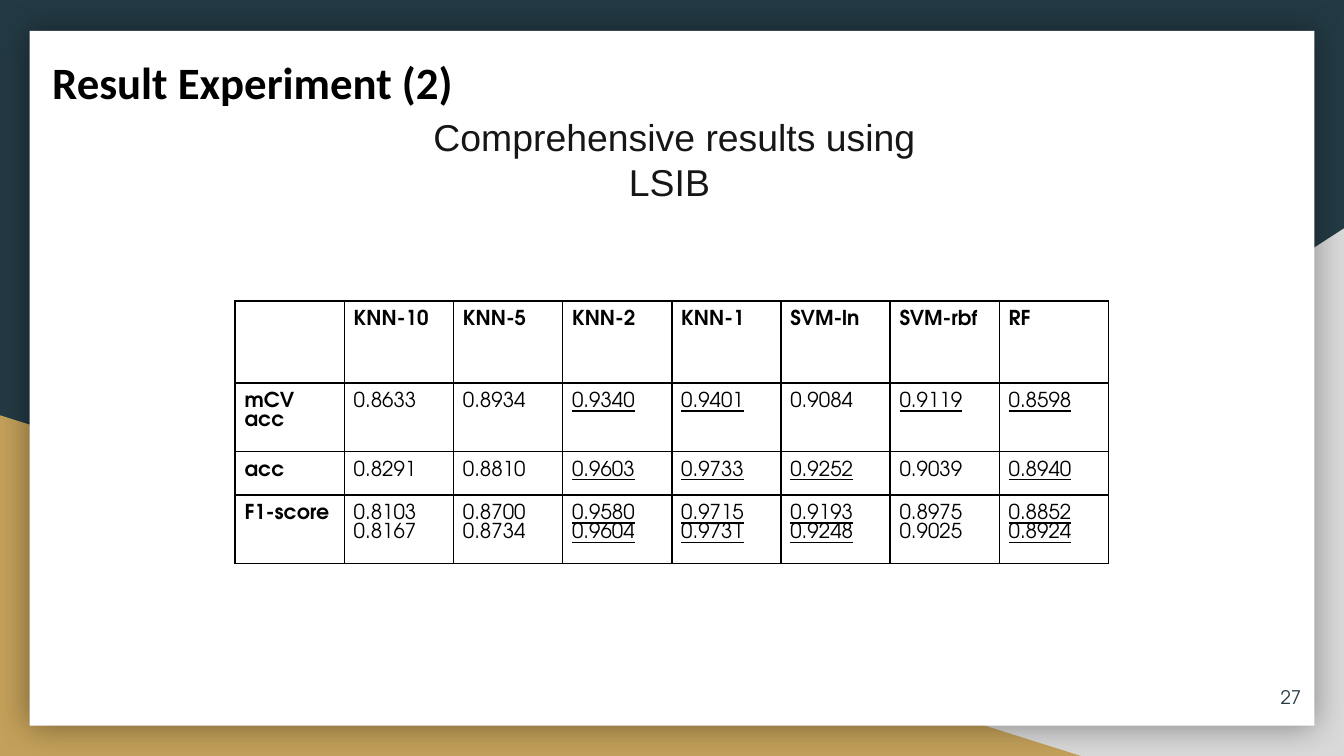
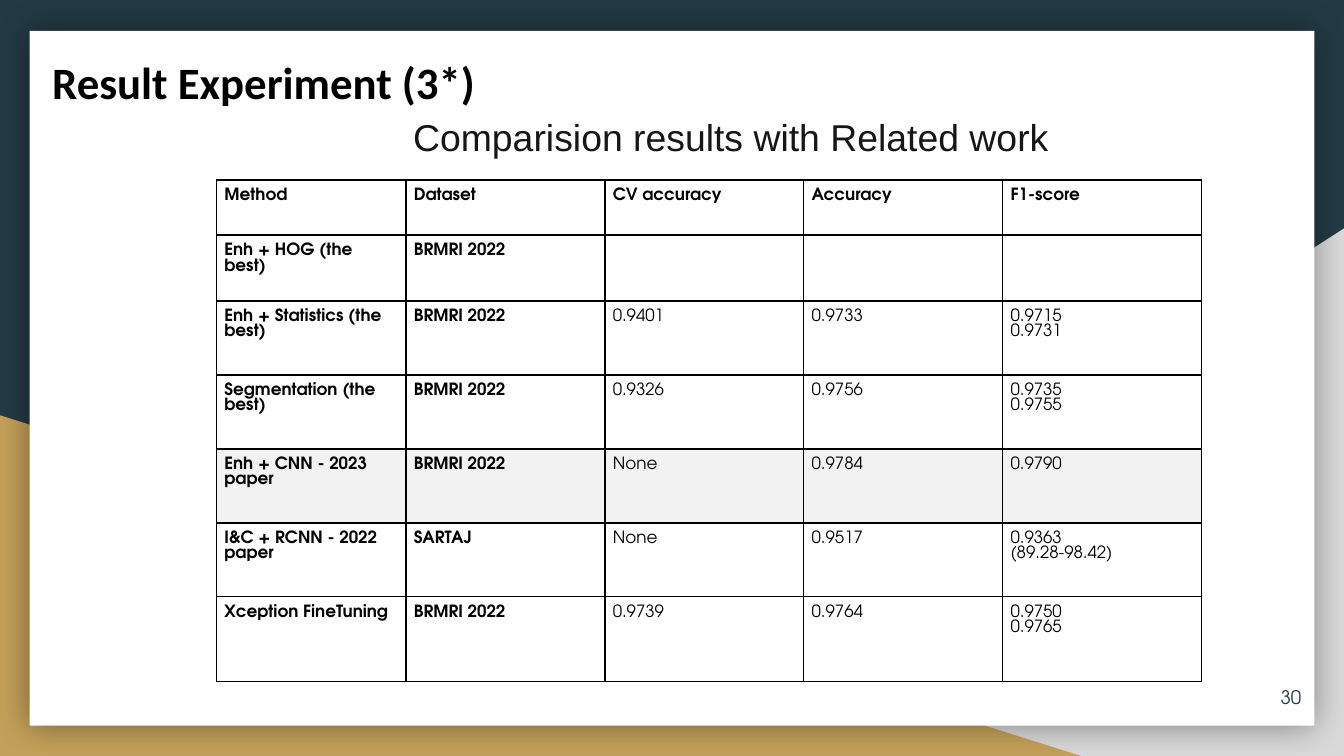
import lxml.etree
import pptx
import pptx.dml.color
import pptx.enum.shapes
import pptx.enum.text
import pptx.oxml.ns
import pptx.util

Inches = pptx.util.Inches
Pt = pptx.util.Pt
ALIGN = pptx.enum.text.PP_ALIGN
ANCHOR = pptx.enum.text.MSO_ANCHOR
SHAPE = pptx.enum.shapes.MSO_SHAPE


def tint(code):
    return pptx.dml.color.RGBColor.from_string(code)


def node(parent, tag, **attrs):
    return lxml.etree.SubElement(parent, pptx.oxml.ns.qn(tag), **attrs)


class Deck:
    NAVY, GOLD, GREY, WHITE = "233A44", "C4A15A", "D9D9D9", "FFFFFF"
    BLACK, INK, SHADE = "000000", "161616", "F2F2F2"
    HEAD, BODY, DATA = "Calibri", "Arial", "TeX Gyre Adventor"

    def __init__(self):
        self.prs = pptx.Presentation()
        self.prs.slide_width = Inches(10)
        self.prs.slide_height = Inches(5.625)
        self.slide = None

    def page(self, title, number):
        """Start a slide with backdrop, title and page number."""
        self.slide = self.prs.slides.add_slide(self.prs.slide_layouts[6])
        fill = self.slide.background.fill
        fill.solid()
        fill.fore_color.rgb = tint(self.NAVY)

        # Corner triangles and the white sheet
        right = self.block(SHAPE.RIGHT_TRIANGLE, (3.92, 1.7, 6.08, 3.93), self.GREY)
        right._element.spPr.find(pptx.oxml.ns.qn("a:xfrm")).set("flipH", "1")
        self.block(SHAPE.RIGHT_TRIANGLE, (0, 3.09, 8.06, 2.54), self.GOLD)
        self.glow(self.block(SHAPE.RECTANGLE, (0.22, 0.23, 9.56, 5.17), self.WHITE))

        # Title and page number
        frame = self.text(title, (0.15, 0.31, 4.15, 0.61), self.HEAD, 24,
                          self.BLACK, bold=True, inset=0.1)
        props = frame.paragraphs[0]._p.get_or_add_pPr()
        props.set("marL", str(Inches(0.14)))
        props.set("indent", "0")
        frame = self.text(number, (9.18, 4.97, 0.6, 0.43), self.DATA, 10,
                          self.NAVY, align=ALIGN.RIGHT, inset=0.1)
        frame.vertical_anchor = ANCHOR.MIDDLE

    def block(self, kind, box, color):
        shape = self.slide.shapes.add_shape(kind, *map(Inches, box))
        shape.shadow.inherit = False
        shape.fill.solid()
        shape.fill.fore_color.rgb = tint(color)
        shape.line.fill.background()
        return shape

    def glow(self, shape):
        """Give a shape a soft shadow on all sides."""
        effects = shape._element.spPr.find(pptx.oxml.ns.qn("a:effectLst"))
        shadow = node(effects, "a:outerShdw", blurRad=str(Pt(18)), dist="0",
                      dir="0", algn="ctr", rotWithShape="0")
        color = node(shadow, "a:srgbClr", val=self.BLACK)
        node(color, "a:alpha", val="40000")

    def style(self, frame, font, size, color, bold=False, line=False):
        for para in frame.paragraphs:
            for run in para.runs:
                run.font.name = font
                run.font.size = Pt(size)
                run.font.color.rgb = tint(color)
                run.font.bold = bold
                run.font.underline = line

    def text(self, words, box, font, size, color, bold=False,
             align=ALIGN.LEFT, inset=None):
        frame = self.slide.shapes.add_textbox(*map(Inches, box)).text_frame
        frame.word_wrap = True
        if inset is not None:
            frame.margin_left = frame.margin_right = Inches(inset)
            frame.margin_top = frame.margin_bottom = Inches(inset)
        frame.text = words
        frame.paragraphs[0].alignment = align
        self.style(frame, font, size, color, bold)
        return frame

    def caption(self, words, box):
        self.text(words, box, self.BODY, 20, self.INK, align=ALIGN.CENTER)

    def border(self, cell):
        props = cell._tc.get_or_add_tcPr()
        for side in ("a:lnL", "a:lnR", "a:lnT", "a:lnB"):
            edge = node(props, side, w=str(Pt(1)))
            node(node(edge, "a:solidFill"), "a:srgbClr", val=self.BLACK)

    def table(self, left, top, widths, heights, rows, size, inset, keys, shaded=()):
        """Draw a grid; a leading underscore underlines a cell's text."""
        table = self.slide.shapes.add_table(
            len(rows), len(widths), Inches(left), Inches(top),
            Inches(sum(widths)), Inches(sum(heights))).table
        table.first_row = table.horz_banding = False
        for col, width in zip(table.columns, widths):
            col.width = Inches(width)
        for r, row in enumerate(rows):
            table.rows[r].height = Inches(heights[r])
            for c, words in enumerate(row):
                cell = table.cell(r, c)
                self.border(cell)
                if r in shaded:
                    cell.fill.solid()
                    cell.fill.fore_color.rgb = tint(self.SHADE)
                else:
                    cell.fill.background()
                cell.margin_left = cell.margin_right = Inches(inset)
                cell.margin_top = cell.margin_bottom = Inches(inset)
                cell.text_frame.text = words.lstrip("_")
                self.style(cell.text_frame, self.DATA, size, self.BLACK,
                           r == 0 or c < keys, words.startswith("_"))


def main():
    deck = Deck()

    # Scores per classifier
    deck.page("Result Experiment (2)", "27")
    deck.caption("Comprehensive results using LSIB ", (2.97, 0.8, 4.1, 0.77))
    scores = [
        ["", "KNN-10", "KNN-5", "KNN-2", "KNN-1", "SVM-ln", "SVM-rbf", "RF"],
        ["mCV acc", "0.8633", "0.8934", "_0.9340", "_0.9401", "0.9084",
         "_0.9119", "_0.8598"],
        ["acc", "0.8291", "0.8810", "_0.9603", "_0.9733", "_0.9252",
         "0.9039", "_0.8940"],
        ["F1-score ", "0.8103\n0.8167", "0.8700\n0.8734", "_0.9580\n0.9604",
         "_0.9715\n0.9731", "_0.9193\n0.9248", "0.8975\n0.9025",
         "_0.8852\n0.8924"],
    ]
    deck.table(1.75, 2.24, [6.5 / 8] * 8, [0.61, 0.51, 0.32, 0.51], scores,
               size=11, inset=0.07, keys=1)

    # Scores against related work
    deck.page("Result Experiment (3*)", "30")
    deck.caption("Comparision results with Related work", (2.97, 0.8, 4.94, 0.44))
    data = "BRMRI 2022"
    works = [
        ["Method", "Dataset", "CV accuracy", "Accuracy", "F1-score"],
        ["Enh + HOG (the best)", data, "", "", ""],
        ["Enh + Statistics (the best)", data, "0.9401", "0.9733", "0.9715\n0.9731"],
        ["Segmentation (the best)", data, "0.9326", "0.9756", "0.9735\n0.9755"],
        ["Enh + CNN - 2023 paper", data, "None", "0.9784", "0.9790"],
        ["I&C + RCNN - 2022 paper", "SARTAJ", "None", "0.9517",
         "0.9363\v(89.28-98.42)"],
        ["Xception FineTuning", data, "0.9739", "0.9764", "0.9750\n0.9765"],
    ]
    deck.table(1.61, 1.34, [1.41] + [1.48] * 4, [0.41, 0.49] + [0.55] * 4 + [0.63],
               works, size=9, inset=0.06, keys=2, shaded=(4,))

    deck.prs.save("out.pptx")


if __name__ == "__main__":
    main()
